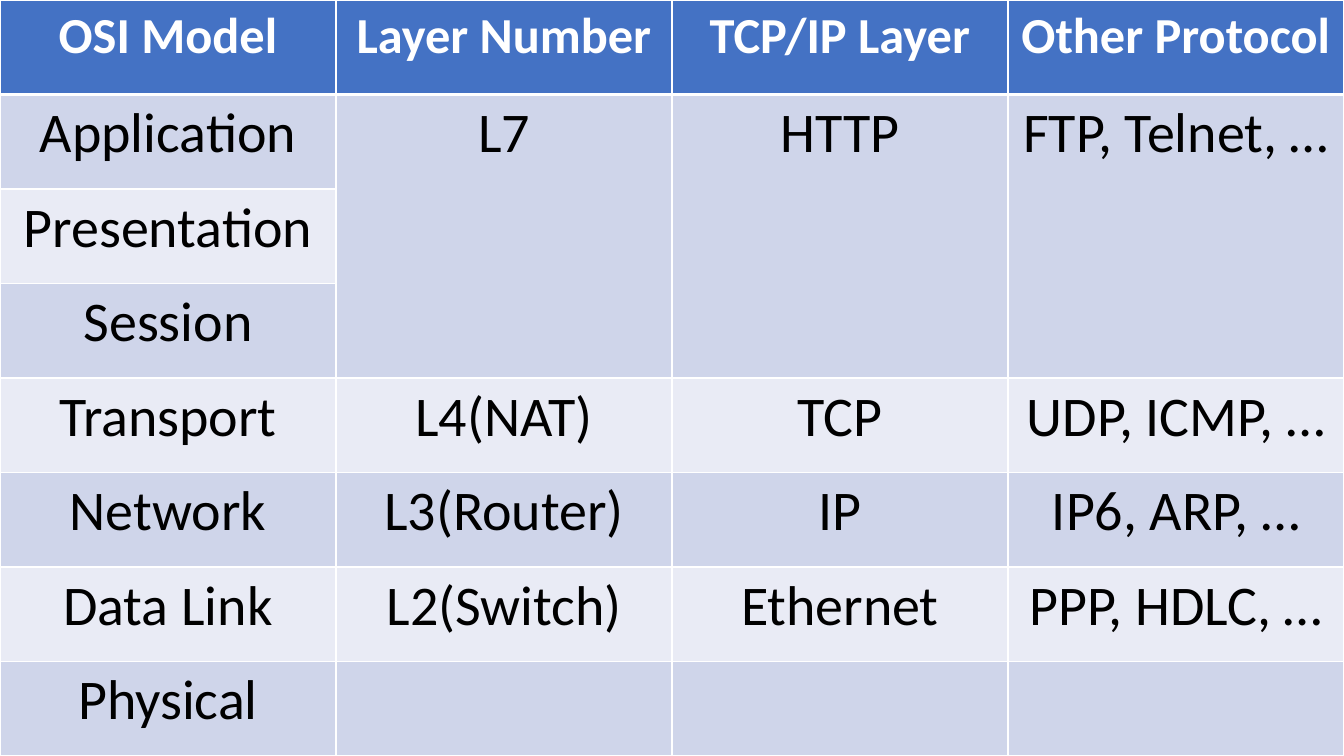
from pptx import Presentation
from pptx.dml.color import RGBColor
from pptx.enum.text import PP_ALIGN
from pptx.oxml import parse_xml
from pptx.oxml.ns import nsdecls
from pptx.util import Emu, Pt

SCALE = 914400 / 100.8
WIDE, HIGH = 1344, 756
WHITE, BLACK, BLUE = "FFFFFF", "000000", "4472C4"
BANDS = ["E9EBF5", "CFD5EA"]
LAYERS = [
    ["OSI Model", "Layer Number", "TCP/IP Layer", "Other Protocol"],
    ["Application", "L7", "HTTP", "FTP, Telnet, …"],
    ["Presentation", "", "", ""],
    ["Session", "", "", ""],
    ["Transport", "L4(NAT)", "TCP", "UDP, ICMP, …"],
    ["Network", "L3(Router)", "IP", "IP6, ARP, …"],
    ["Data Link", "L2(Switch)", "Ethernet", "PPP, HDLC, …"],
    ["Physical", "", "", ""],
]


def px(count):
    """Turn pixels into EMU."""
    return Emu(round(count * SCALE))


def color(code):
    """Turn a hex string into a colour."""
    return RGBColor.from_string(code)


class Deck:
    """Hold the style and the current slide."""

    font = "Calibri"

    def __init__(self, slide):
        """Keep the slide to draw on."""
        self.slide = slide

    def grid(self, left, top, width, height, rows):
        """Add an evenly spaced table with a header and banded rows."""
        frame = self.slide.shapes.add_table(
            len(rows), len(rows[0]), px(left), px(top), px(width), px(height))
        table = frame.table
        for r, row in enumerate(rows):
            for c, text in enumerate(row):
                cell = table.cell(r, c)
                head = r == 0
                self.fill(cell, BLUE if head else BANDS[r % 2])
                self.edge(cell, top=3 if r == 1 else 1, bottom=3 if head else 1)
                if text:
                    self.label(cell, text, 36 if head else 40,
                               WHITE if head else BLACK, head)
        return table

    def fill(self, cell, code):
        """Paint a cell in one colour."""
        cell.fill.solid()
        cell.fill.fore_color.rgb = color(code)

    def edge(self, cell, top, bottom):
        """Draw white lines around a cell, ahead of its fill."""
        props = cell._tc.get_or_add_tcPr()
        sides = {"L": 1, "R": 1, "T": top, "B": bottom}
        for i, (side, width) in enumerate(sides.items()):
            props.insert(i, parse_xml(
                f'<a:ln{side} {nsdecls("a")} w="{Pt(width)}"><a:solidFill>'
                f'<a:srgbClr val="{WHITE}"/></a:solidFill></a:ln{side}>'))

    def label(self, cell, text, size, code, bold):
        """Set centred text in a cell."""
        cell.text_frame.text = text
        line = cell.text_frame.paragraphs[0]
        line.alignment = PP_ALIGN.CENTER
        font = line.runs[0].font
        font.name, font.size, font.bold = self.font, Pt(size), bold
        font.color.rgb = color(code)


show = Presentation()
show.slide_width, show.slide_height = px(WIDE), px(HIGH)
deck = Deck(show.slides.add_slide(show.slide_layouts[6]))
table = deck.grid(0, 0, WIDE, HIGH, LAYERS)
for col in range(1, 4):
    table.cell(1, col).merge(table.cell(3, col))
show.save("out.pptx")
